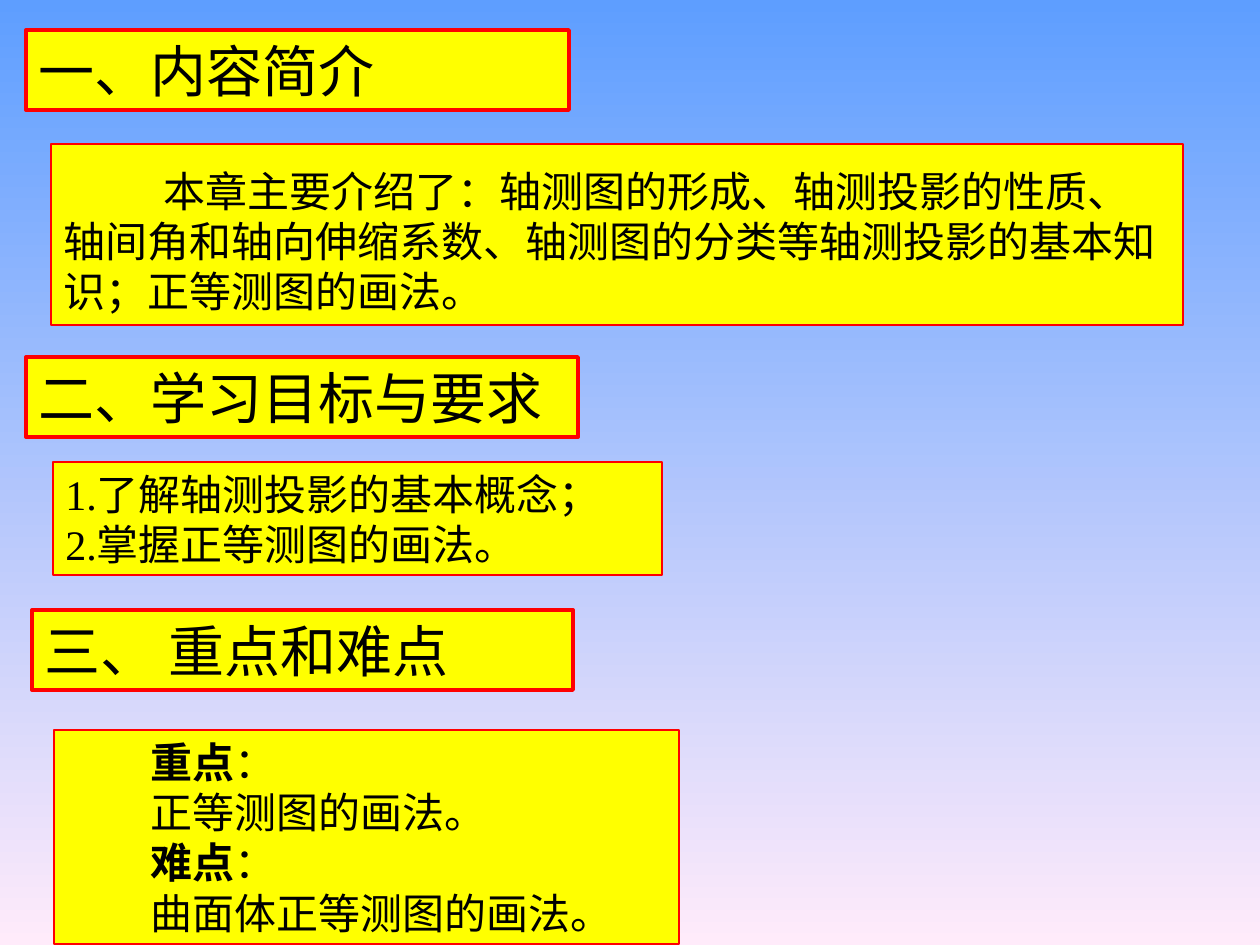
import pptx
import pptx.dml.color
import pptx.enum.text
import pptx.util

PX = 914400 / 126
YELLOW = pptx.dml.color.RGBColor(0xFF, 0xFF, 0x00)
RED = pptx.dml.color.RGBColor(0xFF, 0x00, 0x00)
BLACK = pptx.dml.color.RGBColor(0x00, 0x00, 0x00)
SKY = pptx.dml.color.RGBColor(0x5E, 0x9E, 0xFF)
BLUSH = pptx.dml.color.RGBColor(0xFF, 0xEB, 0xFA)
FONT = "Times New Roman"


def px(length):
    return pptx.util.Emu(round(length * PX))


def paint_background(slide):
    fill = slide.background.fill
    fill.gradient()
    fill.gradient_angle = 270
    for stop, color, position in zip(fill.gradient_stops, (SKY, BLUSH), (0, 1)):
        stop.color.rgb = color
        stop.position = position


def add_panel(slide, box, border):
    """Add a yellow panel with a red border and return its text frame."""
    panel = slide.shapes.add_textbox(*map(px, box))
    panel.fill.solid()
    panel.fill.fore_color.rgb = YELLOW
    panel.line.color.rgb = RED
    panel.line.width = pptx.util.Pt(border)
    frame = panel.text_frame
    frame.word_wrap = True
    frame.auto_size = pptx.enum.text.MSO_AUTO_SIZE.NONE
    frame.vertical_anchor = pptx.enum.text.MSO_ANCHOR.TOP
    return frame


def write_lines(frame, lines, size, margin=0, indent=0):
    """Write one paragraph per line; a line is a list of (text, bold) runs."""
    for number, line in enumerate(lines):
        paragraph = frame.add_paragraph() if number else frame.paragraphs[0]
        properties = paragraph._p.get_or_add_pPr()
        properties.set("marL", str(px(margin)))
        properties.set("indent", str(px(indent)))
        paragraph.font.name = FONT
        paragraph.font.size = pptx.util.Pt(size)
        paragraph.font.color.rgb = BLACK
        for text, bold in line:
            run = paragraph.add_run()
            run.text = text
            if bold:
                run.font.bold = True


def add_heading(slide, box, title):
    write_lines(add_panel(slide, box, 2.25), [[(title, False)]], 32)


def add_introduction(slide, box, introduction):
    frame = add_panel(slide, box, 0.75)
    frame.margin_top = px(21)
    write_lines(frame, [[(introduction, False)]], 24, indent=100)


def add_goals(slide, box, goals):
    write_lines(add_panel(slide, box, 0.75), [[(goal, False)] for goal in goals], 24)


def add_key_points(slide, box, points):
    lines = []
    for label, content in points:
        lines += [[(label, True), ("：", False)], [(content, False)]]
    write_lines(add_panel(slide, box, 0.75), lines, 24, margin=84)


def main():
    deck = pptx.Presentation()
    deck.slide_width, deck.slide_height = px(1260), px(945)
    slide = deck.slides.add_slide(deck.slide_layouts[6])
    paint_background(slide)

    add_heading(slide, (26, 30, 543, 80), "一、内容简介")
    add_introduction(
        slide, (51, 144, 1132, 181),
        "本章主要介绍了：轴测图的形成、轴测投影的性质、轴间角和轴向伸缩系数、"
        "轴测图的分类等轴测投影的基本知识；正等测图的画法。")
    add_heading(slide, (26, 357, 552, 80), "二、学习目标与要求")
    add_goals(slide, (53, 462, 609, 113),
              ["1.了解轴测投影的基本概念；", "2.掌握正等测图的画法。"])
    add_heading(slide, (32, 610, 541, 80), "三、 重点和难点")
    add_key_points(slide, (54, 730, 625, 214),
                   [("重点", "正等测图的画法。"), ("难点", "曲面体正等测图的画法。")])

    deck.save("out.pptx")


if __name__ == "__main__":
    main()
